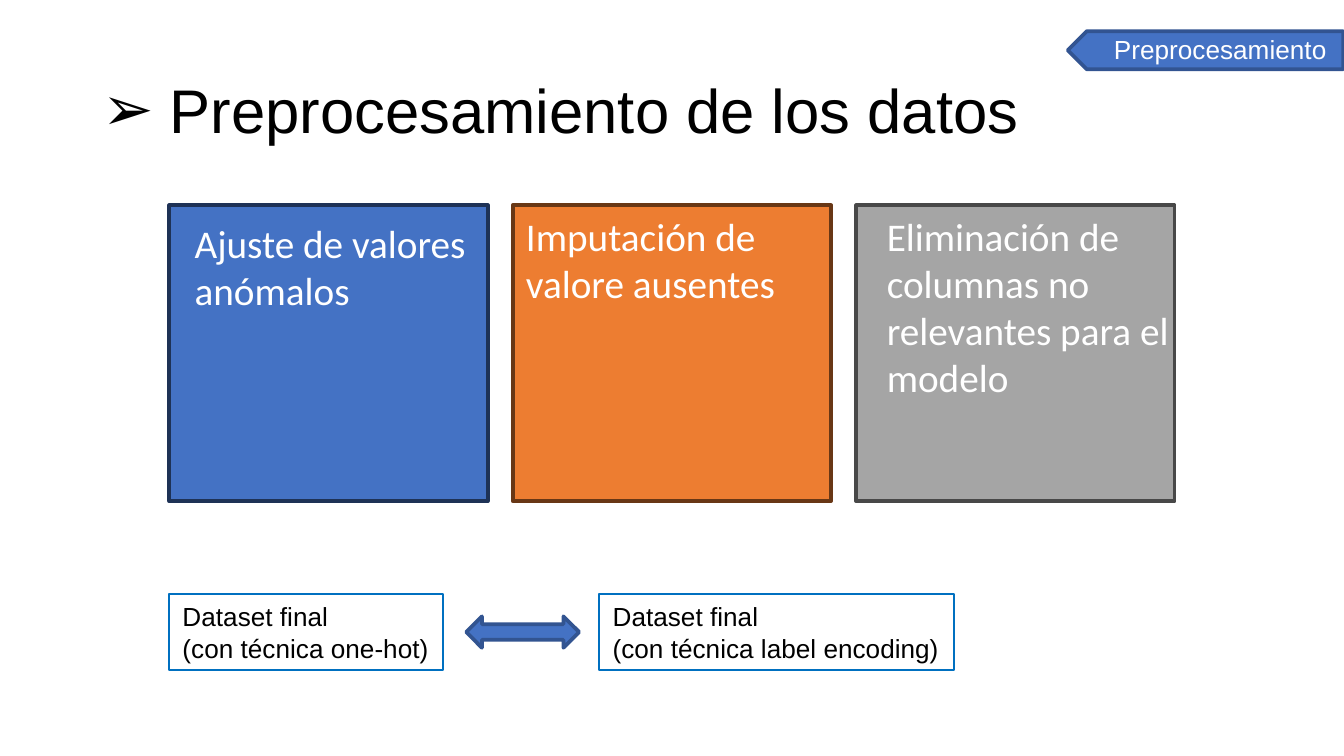
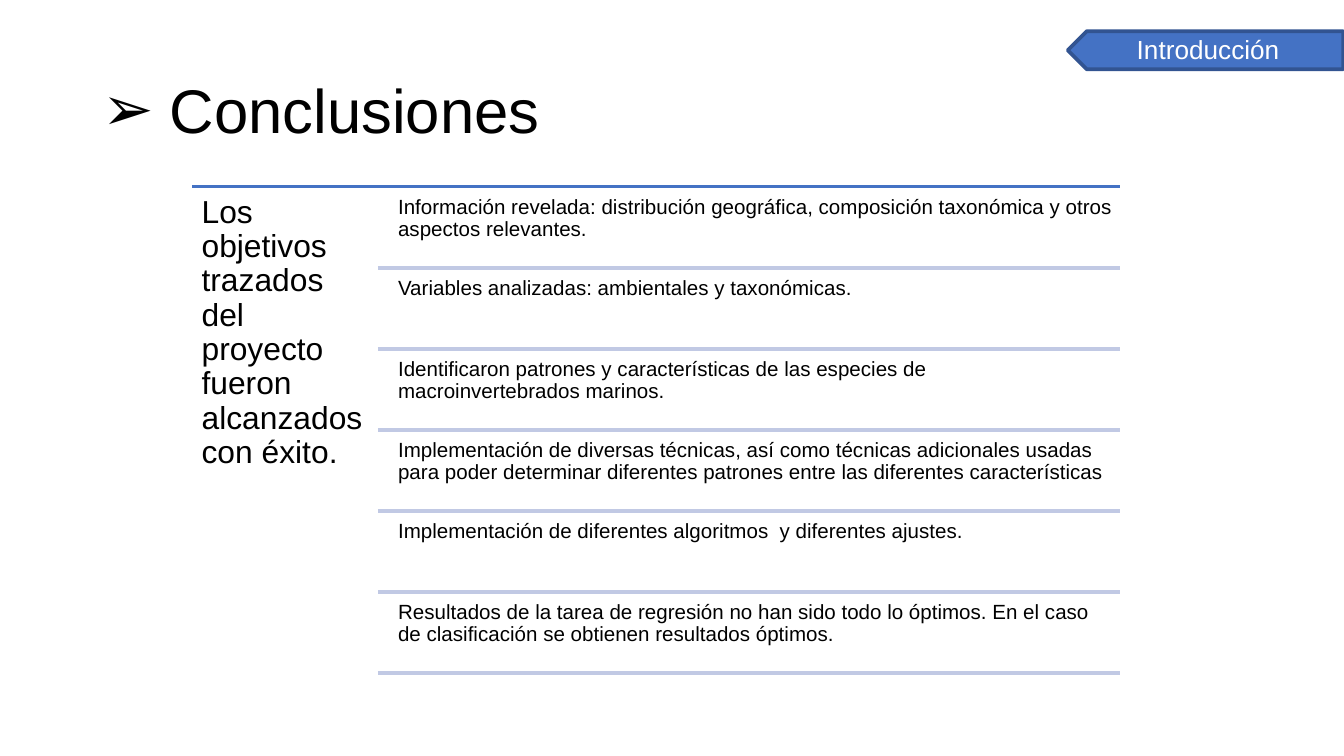
from dataclasses import dataclass

from lxml import etree
from pptx import Presentation
from pptx.dml.color import RGBColor
from pptx.enum.shapes import MSO_CONNECTOR, MSO_SHAPE
from pptx.enum.text import MSO_ANCHOR, MSO_AUTO_SIZE, PP_ALIGN
from pptx.oxml.ns import qn
from pptx.shapes.autoshape import Shape
from pptx.slide import Slide
from pptx.util import Pt

RECTANGLE = MSO_SHAPE.RECTANGLE
PENTAGON = MSO_SHAPE.PENTAGON
DOUBLE_ARROW = MSO_SHAPE.LEFT_RIGHT_ARROW
STRAIGHT = MSO_CONNECTOR.STRAIGHT
LEFT = PP_ALIGN.LEFT
TOP, MIDDLE = MSO_ANCHOR.TOP, MSO_ANCHOR.MIDDLE
NO_AUTOFIT = MSO_AUTO_SIZE.NONE

COLORS = {
    "text": "000000",
    "white": "FFFFFF",
    "blue": "4472C4",
    "blue_edge": "325491",
    "card_blue_edge": "1E3256",
    "orange": "ED7D31",
    "orange_edge": "683715",
    "gray": "A5A5A5",
    "gray_edge": "484848",
    "dataset_edge": "0070C0",
    "divider": "C1C9E4",
}

SLIDE_WIDTH, SLIDE_HEIGHT = 720, 405
TITLE_ONLY = 5
CARD_LEFT, CARD_TOP, CARD_WIDTH, CARD_HEIGHT, CARD_PITCH = 90.7, 110, 170.6, 158.5, 184
DATASET_TOP, DATASET_HEIGHT = 318.2, 41
TABLE_LEFT, TABLE_TOP, TABLE_RIGHT = 103, 100, 600
POINTS_LEFT, POINT_INDENT = 202.4, 7.6
ROW_PITCH, ROW_HEIGHT, ROW_GAP = 43.45, 41.4, 2


@dataclass(frozen=True)
class Box:
    left: float
    top: float
    width: float
    height: float

    def lengths(self) -> list[Pt]:
        return [Pt(v) for v in (self.left, self.top, self.width, self.height)]


@dataclass(frozen=True)
class TextStyle:
    size: float
    color: str = "text"
    font: str = "Arial"
    line_spacing: float = 1.0
    inset_x: float = 7.2
    inset_y: float = 3.6


@dataclass(frozen=True)
class Card:
    text: str
    fill: str
    edge: str
    shift_x: float = 0
    shift_y: float = 0


@dataclass(frozen=True)
class Dataset:
    text: str
    left: float
    width: float


TITLE_STYLE = TextStyle(33, line_spacing=0.9, inset_x=5.4, inset_y=2.7)
TAG_STYLE = TextStyle(14, "white")
CARD_STYLE = TextStyle(21, "white", "Calibri")
DATASET_STYLE = TextStyle(14)
SUMMARY_STYLE = TextStyle(17, line_spacing=0.9, inset_x=5, inset_y=5)
POINT_STYLE = TextStyle(11, line_spacing=0.9, inset_x=3.3, inset_y=3.3)

CARDS = [
    Card("Ajuste de valores anómalos", "blue", "card_blue_edge", 6.5, 4),
    Card("Imputación de valore ausentes", "orange", "orange_edge"),
    Card("Eliminación de columnas no relevantes para el modelo", "gray", "gray_edge", 9.3),
]
DATASETS = [
    Dataset("Dataset final\n(con técnica one-hot)", 90.7, 146.9),
    Dataset("Dataset final\n(con técnica label encoding)", 321.1, 190),
]
SUMMARY = "Los objetivos trazados del proyecto fueron alcanzados con éxito."
POINTS = [
    "Información revelada: distribución geográfica, composición taxonómica y otros aspectos relevantes.",
    "Variables analizadas: ambientales y taxonómicas.",
    "Identificaron patrones y características de las especies de macroinvertebrados marinos.",
    "Implementación de diversas técnicas, así como técnicas adicionales usadas para poder "
    "determinar diferentes patrones entre las diferentes características",
    "Implementación de diferentes algoritmos  y diferentes ajustes.",
    "Resultados de la tarea de regresión no han sido todo lo óptimos. En el caso de "
    "clasificación se obtienen resultados óptimos.",
]


def rgb(name: str) -> RGBColor:
    return RGBColor.from_string(COLORS[name])


def write(shape: Shape, text: str, style: TextStyle, anchor: MSO_ANCHOR = TOP, wrap: bool = True) -> None:
    frame = shape.text_frame
    frame.text = text
    frame.word_wrap = wrap
    frame.auto_size = NO_AUTOFIT
    frame.vertical_anchor = anchor
    frame.margin_left = frame.margin_right = Pt(style.inset_x)
    frame.margin_top = frame.margin_bottom = Pt(style.inset_y)
    for paragraph in frame.paragraphs:
        paragraph.alignment = LEFT
        paragraph.line_spacing = style.line_spacing
        for run in paragraph.runs:
            run.font.name = style.font
            run.font.size = Pt(style.size)
            run.font.color.rgb = rgb(style.color)


def add_text(slide: Slide, box: Box, text: str, style: TextStyle, wrap: bool = True) -> Shape:
    text_box = slide.shapes.add_textbox(*box.lengths())
    write(text_box, text, style, wrap=wrap)
    return text_box


def add_filled(slide: Slide, kind: MSO_SHAPE, box: Box, fill: str, edge: str) -> Shape:
    shape = slide.shapes.add_shape(kind, *box.lengths())
    shape.shadow.inherit = False
    shape.fill.solid()
    shape.fill.fore_color.rgb = rgb(fill)
    shape.line.color.rgb = rgb(edge)
    shape.line.width = Pt(2)
    return shape


def add_rule(slide: Slide, left: float, top: float, color: str) -> None:
    """Draw a horizontal line from left to the right edge of the table."""
    rule = slide.shapes.add_connector(STRAIGHT, Pt(left), Pt(top), Pt(TABLE_RIGHT), Pt(top))
    rule.line.color.rgb = rgb(color)
    rule.line.width = Pt(2)
    etree.SubElement(rule._element.spPr, qn("a:effectLst"))


def add_bullet(shape: Shape, symbol: str, indent: float) -> None:
    properties = shape.text_frame.paragraphs[0]._p.get_or_add_pPr()
    properties.set("marL", str(Pt(indent)))
    properties.set("indent", str(-Pt(indent)))
    color = etree.SubElement(properties, qn("a:buClr"))
    etree.SubElement(color, qn("a:srgbClr"), val=COLORS["text"])
    etree.SubElement(properties, qn("a:buFont"), typeface="Arial")
    etree.SubElement(properties, qn("a:buChar"), char=symbol)


def add_titled_slide(deck: Presentation, title: str, tag: str, tag_width: float) -> Slide:
    """Add a slide with its bulleted title and the section tag at the right edge."""
    slide = deck.slides.add_slide(deck.slide_layouts[TITLE_ONLY])
    heading = slide.shapes.title
    heading.left, heading.top, heading.width, heading.height = Box(49.5, 21.6, 621, 78.3).lengths()
    write(heading, title, TITLE_STYLE, MIDDLE)
    add_bullet(heading, "➢", 36)

    arrow = add_filled(slide, PENTAGON, Box(572, 16.7, 147.6, 20.4), "blue", "blue_edge")
    arrow.rotation = 180
    add_text(slide, Box(SLIDE_WIDTH - tag_width, 14.6, tag_width, 24.2), tag, TAG_STYLE, wrap=False)
    return slide


def build_preprocessing(deck: Presentation) -> None:
    slide = add_titled_slide(deck, "Preprocesamiento de los datos", "Preprocesamiento", 130.3)
    for index, card in enumerate(CARDS):
        left = CARD_LEFT + index * CARD_PITCH
        add_filled(slide, RECTANGLE, Box(left, CARD_TOP, CARD_WIDTH, CARD_HEIGHT), card.fill, card.edge)
        label = Box(left + card.shift_x, CARD_TOP + card.shift_y, CARD_WIDTH, 75)
        add_text(slide, label, card.text, CARD_STYLE)

    for dataset in DATASETS:
        box = Box(dataset.left, DATASET_TOP, dataset.width, DATASET_HEIGHT)
        frame = add_text(slide, box, dataset.text, DATASET_STYLE, wrap=False)
        frame.line.color.rgb = rgb("dataset_edge")
        frame.line.width = Pt(1)
    add_filled(slide, DOUBLE_ARROW, Box(249.8, 330.2, 60.5, 16.8), "blue", "blue_edge")


def build_conclusions(deck: Presentation) -> None:
    slide = add_titled_slide(deck, "Conclusiones", "Introducción", 118.1)
    add_rule(slide, TABLE_LEFT, TABLE_TOP, "blue")
    summary = Box(TABLE_LEFT, TABLE_TOP, POINTS_LEFT - TABLE_LEFT, 263)
    add_text(slide, summary, SUMMARY, SUMMARY_STYLE)

    point_left = POINTS_LEFT + POINT_INDENT
    for index, point in enumerate(POINTS):
        top = TABLE_TOP + ROW_GAP + index * ROW_PITCH
        add_text(slide, Box(point_left, top, TABLE_RIGHT - point_left, ROW_HEIGHT), point, POINT_STYLE)
        add_rule(slide, POINTS_LEFT, top + ROW_HEIGHT, "divider")


def main() -> None:
    deck = Presentation()
    deck.slide_width, deck.slide_height = Pt(SLIDE_WIDTH), Pt(SLIDE_HEIGHT)
    build_preprocessing(deck)
    build_conclusions(deck)
    deck.save("out.pptx")


if __name__ == "__main__":
    main()
